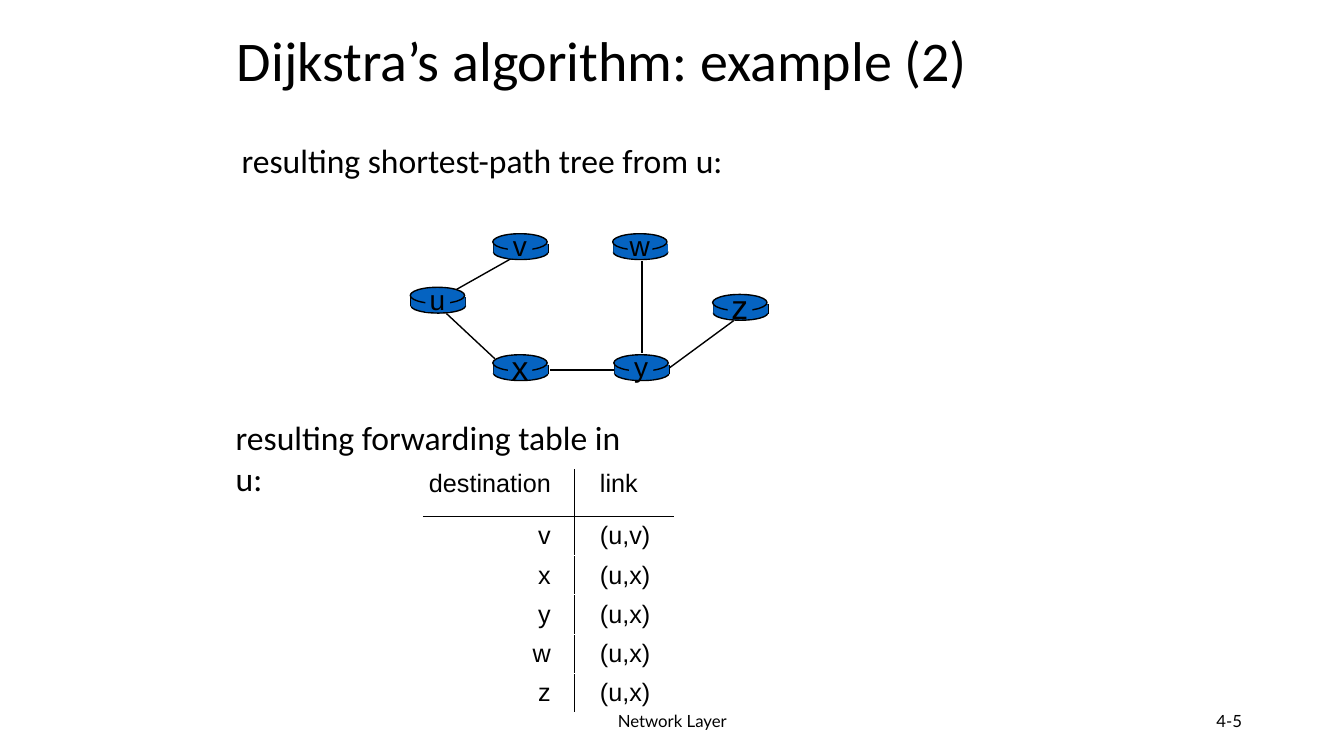
from lxml import etree
from pptx import Presentation
from pptx import util as u
from pptx.dml import color
from pptx.enum import shapes, text
from pptx.oxml import ns

BLACK = "000000"
BLUE = "0563C1"
ROUTERS = {
    "u": (10.34, 7.24, 20),
    "v": (12.42, 5.89, 20),
    "w": (15.44, 5.89, 20),
    "x": (12.42, 8.94, 24),
    "y": (15.47, 8.94, 20),
    "z": (17.96, 7.42, 24),
}
LINKS = [
    (11.51, 7.29, 13, 6.45),
    (16.18, 6.58, 16.18, 8.89),
    (16.87, 9.27, 18.49, 8.08),
    (13.87, 9.32, 15.49, 9.32),
    (11.25, 7.9, 12.47, 9.04),
]
FORWARDING = [
    ("destination", "link"),
    ("v", "(u,v)"),
    ("x", "(u,x)"),
    ("y", "(u,x)"),
    ("w", "(u,x)"),
    ("z", "(u,x)"),
]


def rgb(value):
    return color.RGBColor.from_string(value)


def write(frame, words, size, font="Calibri", align="LEFT", spacing=None):
    paragraph = frame.paragraphs[0]
    paragraph.alignment = text.PP_ALIGN[align]
    if spacing:
        paragraph.line_spacing = spacing
    run = paragraph.add_run()
    run.text = words
    run.font.size = u.Pt(size)
    run.font.name = font
    run.font.color.rgb = rgb(BLACK)


def add_text(slide, words, left, top, width, height, anchor="TOP", margin=0.25, **style):
    box = slide.shapes.add_textbox(u.Cm(left), u.Cm(top), u.Cm(width), u.Cm(height))
    frame = box.text_frame
    frame.word_wrap = True
    frame.vertical_anchor = text.MSO_ANCHOR[anchor]
    frame.margin_left = frame.margin_right = u.Cm(margin)
    write(frame, words, **style)


def add_filled(slide, kind, left, top, width, height, outlined=False):
    shape = slide.shapes.add_shape(
        shapes.MSO_SHAPE[kind], u.Cm(left), u.Cm(top), u.Cm(width), u.Cm(height)
    )
    shape.shadow.inherit = False
    shape.fill.solid()
    shape.fill.fore_color.rgb = rgb(BLUE)
    if outlined:
        shape.line.color.rgb = rgb(BLACK)
        shape.line.width = u.Pt(1)
    else:
        shape.line.fill.background()


def add_line(slide, left, top, right, bottom):
    connector = slide.shapes.add_connector(
        shapes.MSO_CONNECTOR.STRAIGHT, u.Cm(left), u.Cm(top), u.Cm(right), u.Cm(bottom)
    )
    connector.line.color.rgb = rgb(BLACK)
    connector.line.width = u.Pt(1)
    etree.SubElement(connector._element.spPr, ns.qn("a:effectLst"))


def add_router(slide, name, left, top, size):
    width = 1.37
    side = left + 0.02
    add_filled(slide, "OVAL", side, top + 0.29, width, 0.36, outlined=True)
    for edge in (side, side + width):
        add_line(slide, edge, top + 0.25, edge, top + 0.48)
    add_filled(slide, "RECTANGLE", side, top + 0.25, width, 0.23)
    add_filled(slide, "OVAL", left, top, width, 0.41, outlined=True)
    add_filled(slide, "RECTANGLE", left + 0.38, top + 0.04, 0.62, 0.58)
    add_text(slide, name, left, top - 0.25, width, 1.1, anchor="MIDDLE", margin=0,
             size=size, font="Arial", align="CENTER")


def add_border(cell, side):
    properties = cell._tc.get_or_add_tcPr()
    line = etree.Element(ns.qn(f"a:{side}"), w=str(u.Pt(0.75)))
    fill = etree.SubElement(line, ns.qn("a:solidFill"))
    etree.SubElement(fill, ns.qn("a:srgbClr"), val=BLACK)
    fill_position = len(properties) - 1
    properties.insert(fill_position, line)


def add_forwarding_table(slide):
    frame = slide.shapes.add_table(
        len(FORWARDING), 2, u.Cm(10.67), u.Cm(11.84), u.Cm(6.29), u.Cm(6.12)
    )
    table = frame.table
    table.first_row = False
    table.horz_banding = False
    table.columns[0].width = u.Cm(3.81)
    table.columns[1].width = u.Cm(2.48)
    for row, entry in enumerate(FORWARDING):
        table.rows[row].height = u.Cm(0.99 if row else 1.17)
        for column, words in enumerate(entry):
            cell = table.cell(row, column)
            cell.fill.background()
            cell.margin_top = cell.margin_bottom = 0
            cell.margin_left = u.Cm(0.64 if column else 0)
            cell.margin_right = u.Cm(0 if column else 0.6)
            cell.vertical_anchor = text.MSO_ANCHOR.MIDDLE if row else text.MSO_ANCHOR.TOP
            write(cell.text_frame, words, 18, font="Arial",
                  align="LEFT" if column else "RIGHT")
            add_border(cell, "lnL" if column else "lnR")
            if row < 2:
                add_border(cell, "lnT" if row else "lnB")


def main():
    presentation = Presentation()
    presentation.slide_width = u.Cm(33.87)
    presentation.slide_height = u.Cm(19.05)
    slide = presentation.slides.add_slide(presentation.slide_layouts[6])

    add_text(slide, "Dijkstra’s algorithm: example (2)", 5.72, 0.43, 21.59, 2.36,
             anchor="MIDDLE", size=40, spacing=0.9)
    add_text(slide, "resulting shortest-path tree from u:", 5.84, 3.4, 12.7, 1.27, size=24)
    for link in LINKS:
        add_line(slide, *link)
    for name, (left, top, size) in ROUTERS.items():
        add_router(slide, name, left, top, size)

    add_text(slide, "resulting forwarding table in u:", 5.69, 10.39, 10.97, 1.27, size=24)
    add_forwarding_table(slide)
    add_text(slide, "Network Layer", 11.23, 17.65, 11.43, 1.02,
             anchor="MIDDLE", size=12, font="Lato", align="CENTER")
    add_text(slide, "4-5", 23.93, 17.65, 7.62, 1.02,
             anchor="MIDDLE", size=12, font="Lato", align="RIGHT")
    presentation.save("out.pptx")


if __name__ == "__main__":
    main()
